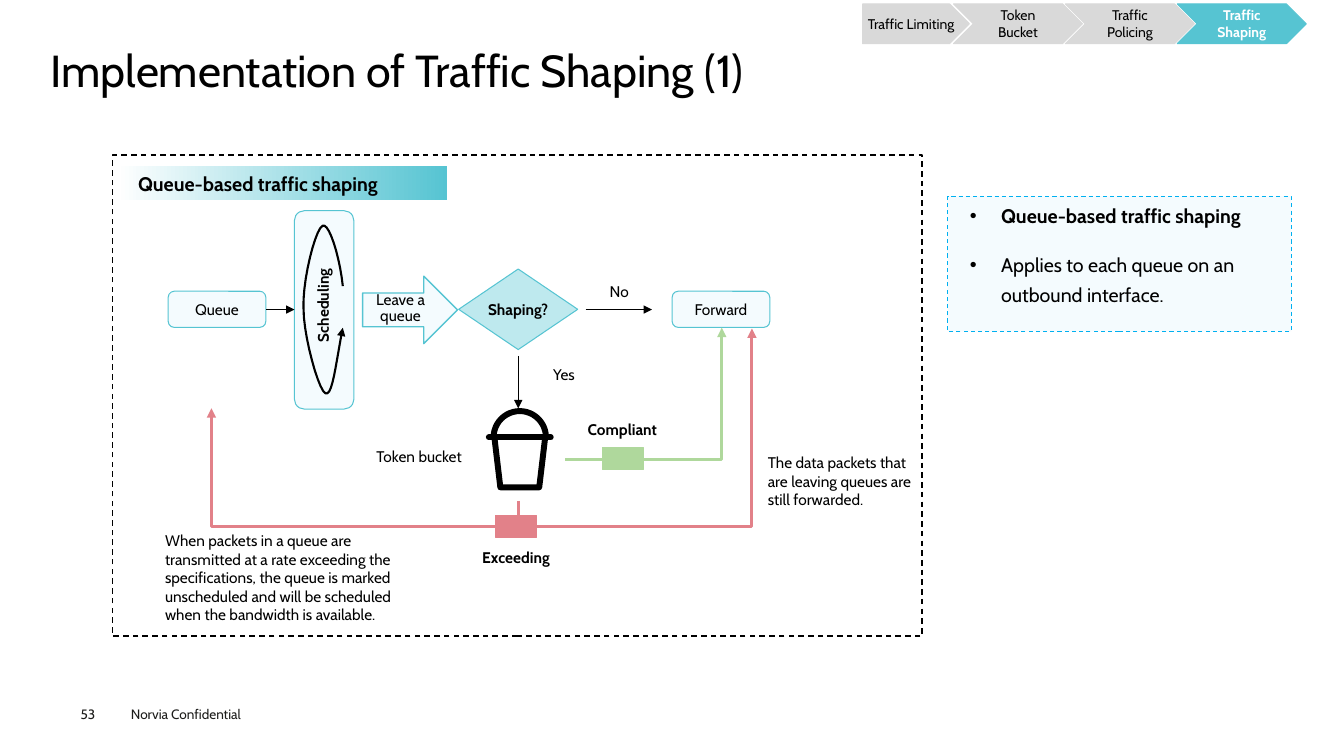
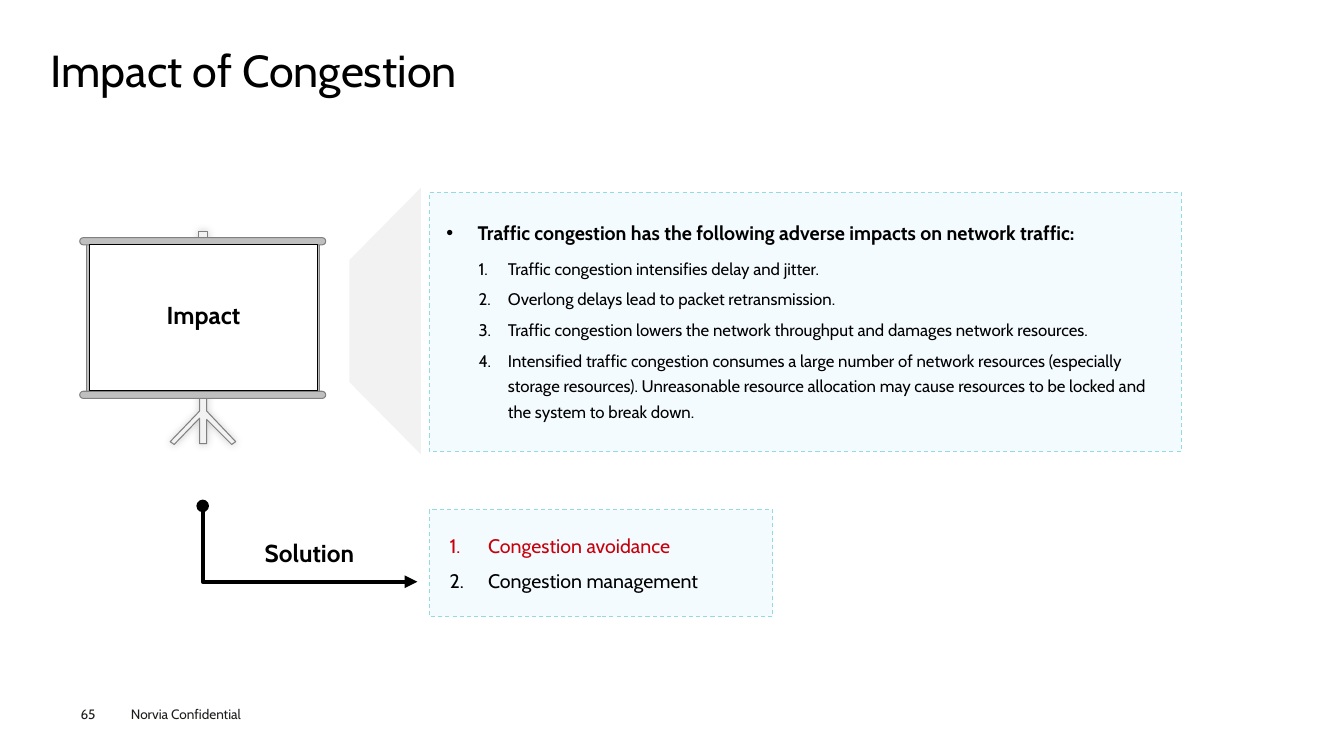
from math import cos, pi, sin

from lxml import etree
from pptx import Presentation
from pptx.dml.color import RGBColor
from pptx.enum.dml import MSO_LINE
from pptx.enum.shapes import MSO_CONNECTOR, MSO_SHAPE as Preset
from pptx.enum.text import MSO_ANCHOR as Anchor, MSO_AUTO_SIZE, PP_ALIGN as Align
from pptx.oxml.ns import qn
from pptx.util import Cm, Pt

FONT = "Cabin"
BLACK, WHITE = "000000", "FFFFFF"
TEAL, PALE, AQUA, SKY = "56C4D2", "F4FBFE", "BEE9EE", "94DAE2"
GREEN, RED, ALERT = "AFD89C", "E28189", "C7000B"
SILVER, GREY, EDGE, MIST, INK = "D9D9D9", "BFBFBF", "808080", "F2F2F2", "1D1D1B"


def rgb(color):
    return RGBColor.from_string(color)


def child(parent, tag, **attributes):
    return etree.SubElement(parent, qn(tag), attributes)


def write(frame, text, size=11, color=BLACK, bold=False, align=Align.CENTER,
          spacing=1, before=0, after=0, bullet=None, left=0, hang=0):
    """Add a paragraph; bullet is a character or "1." for automatic numbers."""
    paragraph = frame.paragraphs[0]
    if paragraph.runs:
        paragraph = frame.add_paragraph()
    if bullet:
        properties = paragraph._p.get_or_add_pPr()
        properties.set("marL", str(Cm(left)))
        properties.set("indent", str(-Cm(hang)))
        if bullet == "1.":
            child(properties, "a:buFont", typeface="+mj-lt")
            child(properties, "a:buAutoNum", type="arabicPeriod")
        else:
            child(properties, "a:buFont", typeface="Arial")
            child(properties, "a:buChar", char=bullet)
    paragraph.alignment = align
    paragraph.line_spacing = spacing
    paragraph.space_before, paragraph.space_after = Pt(before), Pt(after)
    run = paragraph.add_run()
    run.text = text
    font = run.font
    font.name, font.size, font.bold = FONT, Pt(size), bold
    font.color.rgb = rgb(color)


def curve(start, *segments, steps=10):
    """Return points along joined cubic Bézier segments."""
    points = [start]
    for a, b, c in segments:
        origin = points[-1]
        for step in range(1, steps + 1):
            t = step / steps
            weights = (1 - t) ** 3, 3 * t * (1 - t) ** 2, 3 * t * t * (1 - t), t ** 3
            points.append(tuple(sum(w * p[axis] for w, p in zip(weights, (origin, a, b, c)))
                                for axis in (0, 1)))
    return points


class Deck:
    """Hold the shared style and the slide being drawn; lengths are centimetres."""

    def __init__(self):
        self.file = Presentation()
        self.file.slide_width, self.file.slide_height = Cm(33.87), Cm(19.05)
        self.slide = None

    def new_slide(self, title, number):
        self.slide = self.file.slides.add_slide(self.file.slide_layouts[5])
        heading = self.slide.shapes.title
        heading.left, heading.top = Cm(1.27), Cm(1.24)
        heading.width, heading.height = Cm(31.3), Cm(1.35)
        self.frame(heading, (0, 0, 0, 0), Anchor.TOP)
        write(heading.text_frame, title, size=32, align=Align.LEFT, spacing=0.9)
        for x, text in ((2.03, number), (3.3, "Norvia Confidential")):
            self.label(text, x, 17.78, 4, 0.41, inset=0, size=9.7, color=INK, align=Align.LEFT)

    def frame(self, shape, insets, anchor=Anchor.MIDDLE, wrap=True):
        frame = shape.text_frame
        frame.auto_size = MSO_AUTO_SIZE.NONE
        frame.word_wrap, frame.vertical_anchor = wrap, anchor
        (frame.margin_left, frame.margin_top,
         frame.margin_right, frame.margin_bottom) = map(Cm, insets)
        return frame

    def paint(self, shape, fill, line, width, dash=False):
        shape.shadow.inherit = False
        if fill:
            shape.fill.solid()
            shape.fill.fore_color.rgb = rgb(fill)
        else:
            shape.fill.background()
        if line:
            shape.line.color.rgb, shape.line.width = rgb(line), Pt(width)
            if dash:
                shape.line.dash_style = MSO_LINE.DASH
        else:
            shape.line.fill.background()

    def box(self, preset, x, y, w, h, fill=None, line=None, text="", width=0.75,
            dash=False, insets=(0.1, 0, 0.1, 0), wrap=True, **style):
        shape = self.slide.shapes.add_shape(preset, Cm(x), Cm(y), Cm(w), Cm(h))
        self.paint(shape, fill, line, width, dash)
        if text:
            write(self.frame(shape, insets, wrap=wrap), text, **style)
        return shape

    def label(self, text, x, y, w, h, inset=0.1, wrap=True, **style):
        box = self.slide.shapes.add_textbox(Cm(x), Cm(y), Cm(w), Cm(h))
        write(self.frame(box, (inset, 0, inset, 0), wrap=wrap), text, **style)
        return box

    def panel(self, x, y, w, h, border, insets):
        """Draw a dashed panel and return its frame, ready for bullets."""
        shape = self.box(Preset.RECTANGLE, x, y, w, h, PALE, border, dash=True)
        return self.frame(shape, insets, Anchor.TOP)

    def ends(self, shape, head, tail):
        line = shape._element.spPr.find(qn("a:ln"))
        for tag, kind in (("a:headEnd", head), ("a:tailEnd", tail)):
            if kind:
                child(line, tag, type=kind)

    def connect(self, start, end, color=BLACK, width=1, head=None, tail="triangle", bent=False):
        """Join two points; a bent line leaves horizontally and arrives vertically."""
        line = self.slide.shapes.add_connector(
            MSO_CONNECTOR.ELBOW if bent else MSO_CONNECTOR.STRAIGHT, *map(Cm, start + end))
        line.line.color.rgb, line.line.width = rgb(color), Pt(width)
        properties = line._element.spPr
        if bent:
            properties.find(qn("a:prstGeom")).set("prst", "bentConnector2")
        child(properties, "a:effectLst")
        self.ends(line, head, tail)

    def outline(self, contours, fill=None, line=BLACK, width=0.75, close=False):
        builder = None
        for contour in contours:
            points = [(Cm(x), Cm(y)) for x, y in contour]
            if builder:
                builder.move_to(*points[0])
            else:
                builder = self.slide.shapes.build_freeform(*points[0])
            builder.add_line_segments(points[1:], close=close)
        shape = builder.convert_to_shape()
        self.paint(shape, fill, line, width)
        return shape

    def chapter_trail(self, chapters):
        """Draw the chapter arrows, with the last one as the current chapter."""
        for index, chapter in enumerate(chapters):
            current = index == len(chapters) - 1
            color = TEAL if current else SILVER
            preset, x, w, side = ((Preset.CHEVRON, 21.21 + 2.82 * index, 3.25, 0.25) if index
                                  else (Preset.PENTAGON, 21.74, 2.69, 0.1))
            self.box(preset, x, 0.1, w, 1, color, color, chapter, size=10, bold=current,
                     color=WHITE if current else BLACK, insets=(side, 0, side, 0))

    def bucket(self, x, rim):
        dome = [(x - 0.66 * cos(pi * i / 24), rim - 0.66 * sin(pi * i / 24)) for i in range(25)]
        body = [(x - 0.64, rim), (x - 0.49, rim + 1.26), (x + 0.49, rim + 1.26), (x + 0.64, rim)]
        shape = self.outline([dome, body, [(x - 0.78, rim), (x + 0.78, rim)]], width=4.25)
        line = shape._element.spPr.find(qn("a:ln"))
        line.set("cap", "rnd")
        child(line, "a:round")

    def projector_screen(self, text):
        post = [(5, 5.84), (5.23, 5.84), (5.23, 6.15), (5, 6.15)]
        legs = [(5.03, 9.58), (5.21, 9.58), (5.21, 10.36), (5.94, 11.13), (5.84, 11.2),
                (5.21, 10.57), (5.21, 11.18), (5.03, 11.18), (5.03, 10.54), (4.39, 11.2),
                (4.29, 11.13), (5.03, 10.36)]
        stand = self.outline([post, legs], MIST, EDGE, close=True)
        effects = stand._element.spPr.find(qn("a:effectLst"))
        glow = child(effects, "a:outerShdw", blurRad=str(Pt(6)), dist="0")
        child(child(glow, "a:srgbClr", val=BLACK), "a:alpha", val="20000")
        self.box(Preset.RECTANGLE, 2.18, 6.08, 5.87, 3.87, GREY, EDGE)
        for y in (5.99, 9.86):
            bar = self.box(Preset.ROUNDED_RECTANGLE, 2.01, y, 6.2, 0.18, GREY, EDGE)
            bar.adjustments[0] = 0.5
        self.box(Preset.RECTANGLE, 2.26, 6.17, 5.74, 3.66, WHITE, BLACK, text,
                 size=17.5, bold=True, spacing=0.8)


def draw_shaping(deck):
    deck.new_slide("Implementation of Traffic Shaping (1)", "53")
    middle, lane = 13.06, 7.8

    for x, text in ((4.24, "Queue"), (16.94, "Forward")):
        deck.box(Preset.ROUNDED_RECTANGLE, x, 7.34, 2.46, 0.91, PALE, TEAL, text)
    deck.box(Preset.FLOWCHART_DECISION, middle - 1.5, 6.78, 3, 2.03, AQUA, TEAL, "Shaping?",
             bold=True, wrap=False)
    deck.box(Preset.ROUNDED_RECTANGLE, 7.42, 5.31, 1.5, 5, PALE, TEAL)
    deck.label("Scheduling", 6.99, 7.34, 2.29, 0.71, wrap=False, bold=True).rotation = 270
    loop = curve((8.64, 7.21),
                 ((8.56, 6.43), (8.28, 5.59), (8.13, 5.69)),
                 ((7.95, 5.77), (7.62, 7.06), (7.65, 7.77)),
                 ((7.65, 8.48), (8.03, 9.83), (8.2, 9.91)),
                 ((8.38, 10.01), (8.46, 9.17), (8.64, 8.26)))
    deck.ends(deck.outline([loop], width=1.5), None, "triangle")
    deck.box(Preset.RIGHT_ARROW, 9.14, 6.96, 2.39, 1.7, PALE, TEAL, width=1)
    deck.label("Leave a queue", 8.94, 7.32, 2.31, 0.91, spacing=0.9, inset=0.2)
    deck.bucket(13.1, 11.02)

    deck.connect((6.71, lane), (7.42, lane))
    deck.connect((14.76, lane), (16.43, lane))
    deck.connect((middle, 8.97), (middle, 10.29))
    deck.connect((14.25, 11.58), (18.19, 8.26), GREEN, 2.25, bent=True)
    deck.connect((middle, 12.62), (middle, 13.26), RED, 2.25, tail=None)
    for end in ((5.33, 10.29), (18.95, 8.28)):
        deck.connect((middle, 13.26), end, RED, 2.25, bent=True)
    for x, y, color in ((15.19, 11.28, GREEN), (12.5, 12.98, RED)):
        deck.box(Preset.RECTANGLE, x, y, 1.02, 0.56, color, color)

    for text, x, y, w, bold in (("No", 14.45, 6.88, 2.31, False),
                                ("Yes", middle, 8.97, 2.31, False),
                                ("Compliant", 13.92, 10.36, 3.53, True),
                                ("Token bucket", 9.27, 11.05, 2.59, False),
                                ("Exceeding", 11.25, 13.59, 3.51, True)):
        deck.label(text, x, y, w, 0.91, bold=bold)
    deck.label("The data packets that are leaving queues are still forwarded.",
               19.17, 11.38, 4.25, 1.5, inset=0.18, align=Align.LEFT)
    deck.label("When packets in a queue are transmitted at a rate exceeding the specifications, "
               "the queue is marked unscheduled and will be scheduled when the bandwidth is "
               "available.", 3.98, 13.36, 6.83, 2.39, inset=0.18, align=Align.LEFT)

    deck.box(Preset.RECTANGLE, 2.84, 3.91, 20.4, 12.12, line=BLACK, width=1, dash=True)
    banner = deck.box(Preset.RECTANGLE, 2.95, 4.19, 8.31, 0.86, text="Queue-based traffic shaping",
                      insets=(0.53, 0, 0.1, 0), size=14, bold=True, align=Align.LEFT)
    banner.fill.gradient()
    banner.fill.gradient_angle = 0
    for stop, color in zip(banner.fill.gradient_stops, (WHITE, TEAL)):
        stop.color.rgb = rgb(color)

    summary = deck.panel(23.88, 4.95, 8.66, 3.4, "00B0F0", (0.56, 0.05, 0.5, 0))
    bullets = dict(size=14, align=Align.LEFT, spacing=1.25, bullet="•", left=0.79, hang=0.79)
    write(summary, "Queue-based traffic shaping", bold=True, **bullets)
    write(summary, "Applies to each queue on an outbound interface.", before=14, **bullets)
    deck.chapter_trail(["Traffic Limiting", "Token Bucket", "Traffic Policing", "Traffic Shaping"])


def draw_congestion(deck):
    deck.new_slide("Impact of Congestion", "65")
    body = dict(align=Align.LEFT, spacing=1.25)

    impacts = deck.panel(10.82, 4.85, 18.95, 6.53, SKY, (0.43, 0.58, 0.56, 0))
    write(impacts, "Traffic congestion has the following adverse impacts on network traffic:",
          size=14, bold=True, bullet="•", left=0.79, hang=0.79, after=4, **body)
    for impact in ("Traffic congestion intensifies delay and jitter.",
                   "Overlong delays lead to packet retransmission.",
                   "Traffic congestion lowers the network throughput and damages network resources.",
                   "Intensified traffic congestion consumes a large number of network resources "
                   "(especially storage resources). Unreasonable resource allocation may cause "
                   "resources to be locked and the system to break down."):
        write(impacts, impact, size=12, before=2, after=2, bullet="1.", left=1.55, hang=0.74,
              **body)

    beam = deck.box(Preset.TRAPEZOID, 6.35, 7.19, 6.71, 1.8, MIST)
    beam.adjustments[0] = 1.01
    beam.rotation = 270
    deck.projector_screen("Impact")

    deck.connect((10.52, 14.66), (5.11, 12.75), width=3, head="triangle", tail="oval", bent=True)
    deck.label("Solution", 5.82, 13.54, 3.96, 0.91, size=17.5, bold=True, spacing=0.8)
    solutions = deck.panel(10.82, 12.85, 8.66, 2.69, SKY, (0.51, 0.46, 0.25, 0))
    for solution, color, before in (("Congestion avoidance", ALERT, 0),
                                    ("Congestion management", BLACK, 4)):
        write(solutions, solution, size=14, color=color, before=before, bullet="1.",
              left=0.97, hang=0.97, **body)


def main():
    deck = Deck()
    draw_shaping(deck)
    draw_congestion(deck)
    deck.file.save("out.pptx")


if __name__ == "__main__":
    main()
